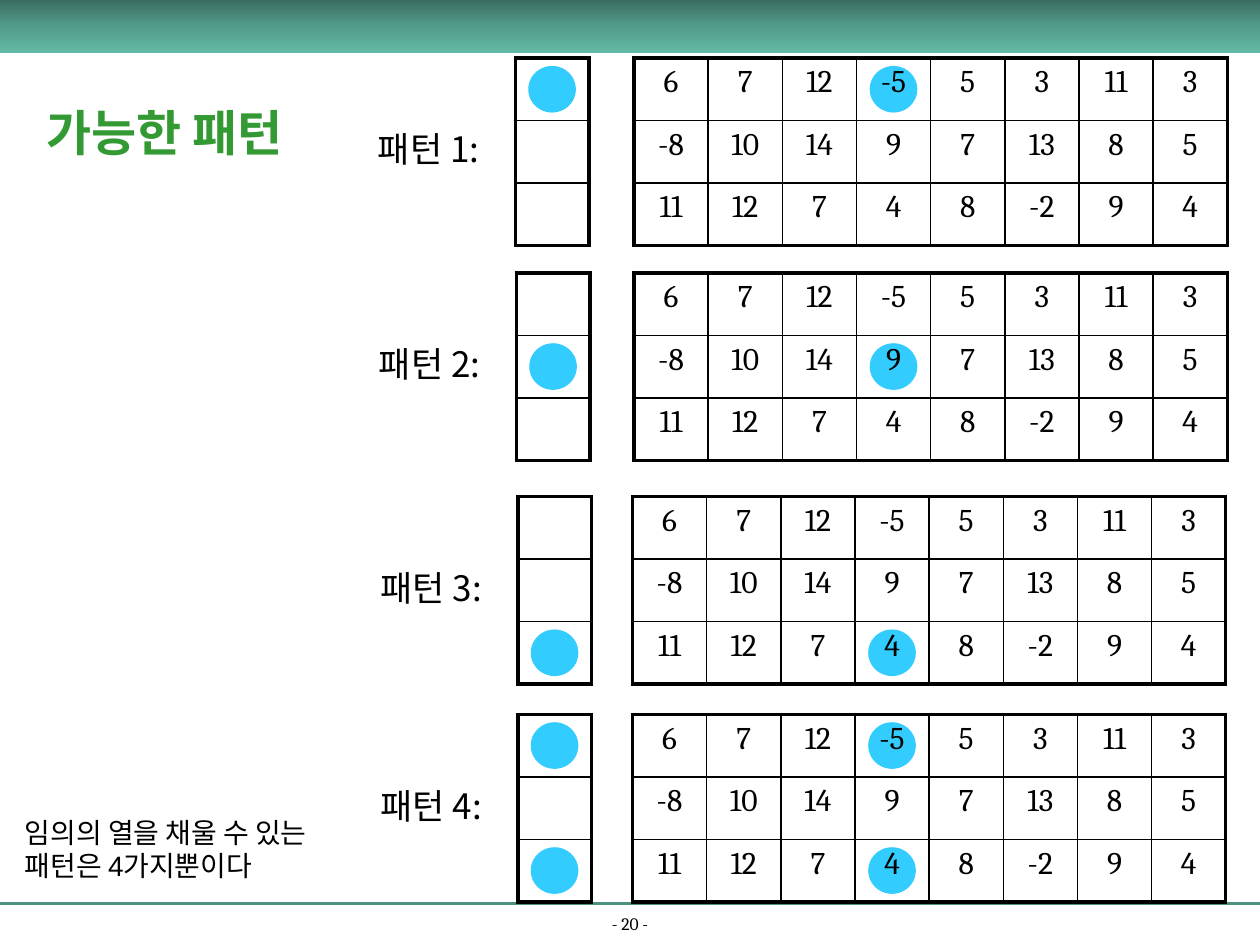
from copy import deepcopy
from dataclasses import dataclass

from lxml import etree
from pptx import Presentation
from pptx.dml.color import RGBColor
from pptx.enum.shapes import MSO_CONNECTOR, MSO_SHAPE
from pptx.enum.text import MSO_ANCHOR, MSO_AUTO_SIZE, PP_ALIGN
from pptx.oxml.ns import qn
from pptx.util import Cm, Pt

LEFT, CENTER = PP_ALIGN.LEFT, PP_ALIGN.CENTER
TOP, MIDDLE, BOTTOM = MSO_ANCHOR.TOP, MSO_ANCHOR.MIDDLE, MSO_ANCHOR.BOTTOM
GROW, FIXED = MSO_AUTO_SIZE.SHAPE_TO_FIT_TEXT, MSO_AUTO_SIZE.NONE
RECTANGLE, OVAL = MSO_SHAPE.RECTANGLE, MSO_SHAPE.OVAL
STRAIGHT = MSO_CONNECTOR.STRAIGHT


@dataclass(frozen=True)
class Theme:
    ink: str = "000000"
    heading: str = "339933"
    pebble: str = "33CCFF"
    rule: str = "4C9282"
    band: tuple = ("3A6D62", "539C8B", "62B9A5")
    serif: str = "Cambria"
    sans: str = "Arial"
    korean: str = "Noto Sans CJK KR"
    title_size: int = 28
    label_size: int = 20
    cell_size: int = 18
    note_size: int = 16
    page_size: int = 10
    frame_width: float = 2.25
    grid_width: float = 1
    rule_width: float = 1.5


THEME = Theme()
SLIDE_WIDTH, SLIDE_HEIGHT = 25.4, 19.05
ROW_HEIGHT = 1.26
PATTERN_WIDTH = 1.48
MATRIX_WIDTH = 11.96
PEBBLE_WIDTH, PEBBLE_HEIGHT = 0.96, 0.94
MARKED_COLUMN = 3
MATRIX = [
    [6, 7, 12, -5, 5, 3, 11, 3],
    [-8, 10, 14, 9, 7, 13, 8, 5],
    [11, 12, 7, 4, 8, -2, 9, 4],
]
EMPTY_COLUMN = [[""] for _ in MATRIX]
PATTERNS = [
    (1.17, 10.39, 12.78, [0]),
    (5.5, 10.41, 12.78, [1]),
    (10.01, 10.44, 12.75, [2]),
    (14.4, 10.44, 12.75, [0, 2]),
]


def write(frame, text, size, font=THEME.serif, color=THEME.ink, bold=False, align=LEFT):
    frame.text = text
    for paragraph in frame.paragraphs:
        paragraph.alignment = align
        for run in paragraph.runs:
            run.font.size = Pt(size)
            run.font.name = font
            run.font.bold = bold
            run.font.color.rgb = RGBColor.from_string(color)
            east_asian = etree.SubElement(run.font._element, qn("a:ea"))
            east_asian.set("typeface", THEME.korean)


class Deck:
    def __init__(self, theme):
        self.theme = theme
        self.presentation = Presentation()
        self.presentation.slide_width = Cm(SLIDE_WIDTH)
        self.presentation.slide_height = Cm(SLIDE_HEIGHT)
        self.slide = self.presentation.slides.add_slide(self.presentation.slide_layouts[6])

    def band(self, height):
        band = self.slide.shapes.add_shape(RECTANGLE, 0, 0, Cm(SLIDE_WIDTH), Cm(height))
        band.shadow.inherit = False
        band.line.fill.background()
        band.fill.gradient()
        band.fill.gradient_angle = 270
        stops = band._element.xpath(".//a:gsLst")[0]
        stops.insert(1, deepcopy(stops[0]))
        for index, (stop, color) in enumerate(zip(band.fill.gradient_stops, self.theme.band)):
            stop.position = index / 2
            stop.color.rgb = RGBColor.from_string(color)

    def rule(self, y):
        rule = self.slide.shapes.add_connector(STRAIGHT, 0, Cm(y), Cm(SLIDE_WIDTH), Cm(y))
        rule.line.color.rgb = RGBColor.from_string(self.theme.rule)
        rule.line.width = Pt(self.theme.rule_width)
        etree.SubElement(rule._element.spPr, qn("a:effectLst"))

    def text(self, left, top, width, height, text, size, anchor=TOP, wrap=True, fit=FIXED, **style):
        box = self.slide.shapes.add_textbox(Cm(left), Cm(top), Cm(width), Cm(height))
        frame = box.text_frame
        frame.word_wrap = wrap
        frame.auto_size = fit
        frame.vertical_anchor = anchor
        write(frame, text, size, **style)

    def pebbles(self, centers):
        group = self.slide.shapes.add_group_shape()
        for x, y in centers:
            pebble = group.shapes.add_shape(
                OVAL, Cm(x - PEBBLE_WIDTH / 2), Cm(y - PEBBLE_HEIGHT / 2),
                Cm(PEBBLE_WIDTH), Cm(PEBBLE_HEIGHT))
            pebble.shadow.inherit = False
            pebble.fill.solid()
            pebble.fill.fore_color.rgb = RGBColor.from_string(self.theme.pebble)
            pebble.line.fill.background()

    def border(self, cell, side, width):
        line = etree.SubElement(cell._tc.get_or_add_tcPr(), qn(f"a:ln{side}"), w=str(Pt(width)))
        fill = etree.SubElement(line, qn("a:solidFill"))
        etree.SubElement(fill, qn("a:srgbClr"), val=self.theme.ink)

    def table(self, left, top, width, values):
        rows, columns = len(values), len(values[0])
        table = self.slide.shapes.add_table(
            rows, columns, Cm(left), Cm(top), Cm(width), Cm(rows * ROW_HEIGHT)).table
        table.first_row = table.horz_banding = False
        for r, row in enumerate(values):
            for c, value in enumerate(row):
                cell = table.cell(r, c)
                write(cell.text_frame, str(value), self.theme.cell_size, align=CENTER)
                on_frame = {"L": c == 0, "R": c == columns - 1, "T": r == 0, "B": r == rows - 1}
                for side, outer in on_frame.items():
                    self.border(cell, side, self.theme.frame_width if outer else self.theme.grid_width)
                cell.fill.background()


def pebble_centers():
    for top, pattern_left, matrix_left, marked_rows in PATTERNS:
        column_center = matrix_left + (MARKED_COLUMN + 0.5) * MATRIX_WIDTH / len(MATRIX[0])
        for row in marked_rows:
            y = top + (row + 0.5) * ROW_HEIGHT
            yield pattern_left + PATTERN_WIDTH / 2, y
            yield column_center, y


def main():
    deck = Deck(THEME)
    deck.rule(18.21)
    deck.text(0, 18.39, SLIDE_WIDTH, 0.56, "- 20 -", THEME.page_size, anchor=BOTTOM, align=CENTER)
    deck.band(1.07)
    deck.pebbles(pebble_centers())
    for number, (top, pattern_left, matrix_left, _) in enumerate(PATTERNS, 1):
        deck.table(matrix_left, top, MATRIX_WIDTH, MATRIX)
        deck.text(pattern_left - 3.02, top + 1.28, 2.79, 1.09, f"패턴 {number}:",
                  THEME.label_size, wrap=False, fit=GROW, font=THEME.korean)
        deck.table(pattern_left, top, PATTERN_WIDTH, EMPTY_COLUMN)
    deck.text(0.18, 1.52, 6.27, 2.29, "가능한 패턴", THEME.title_size, anchor=MIDDLE,
              color=THEME.heading, bold=True, align=CENTER)
    deck.text(0.25, 16.31, 7.16, 1.63, "임의의 열을 채울 수 있는\n패턴은 4가지뿐이다",
              THEME.note_size, fit=GROW, font=THEME.sans)
    deck.presentation.save("out.pptx")


if __name__ == "__main__":
    main()
